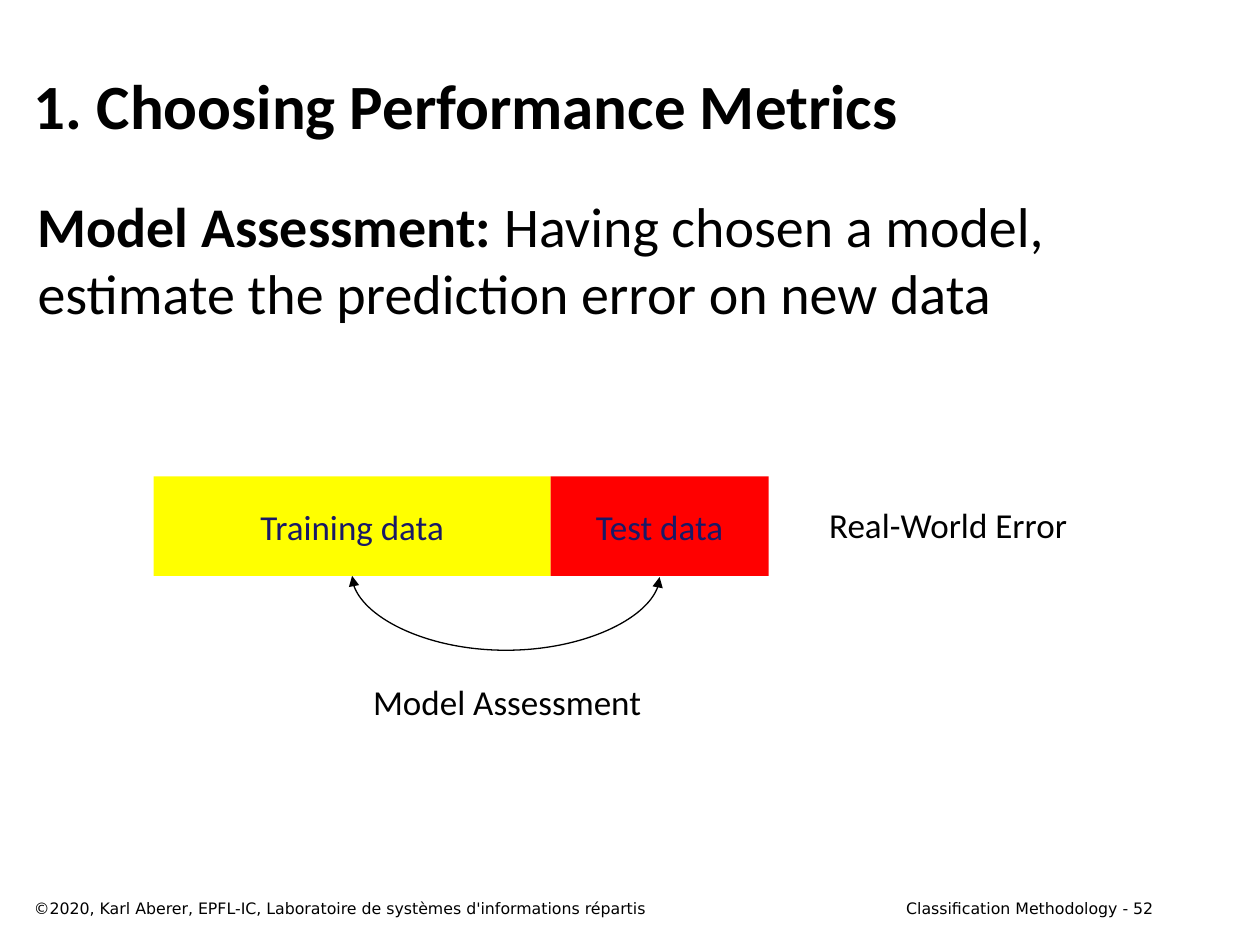
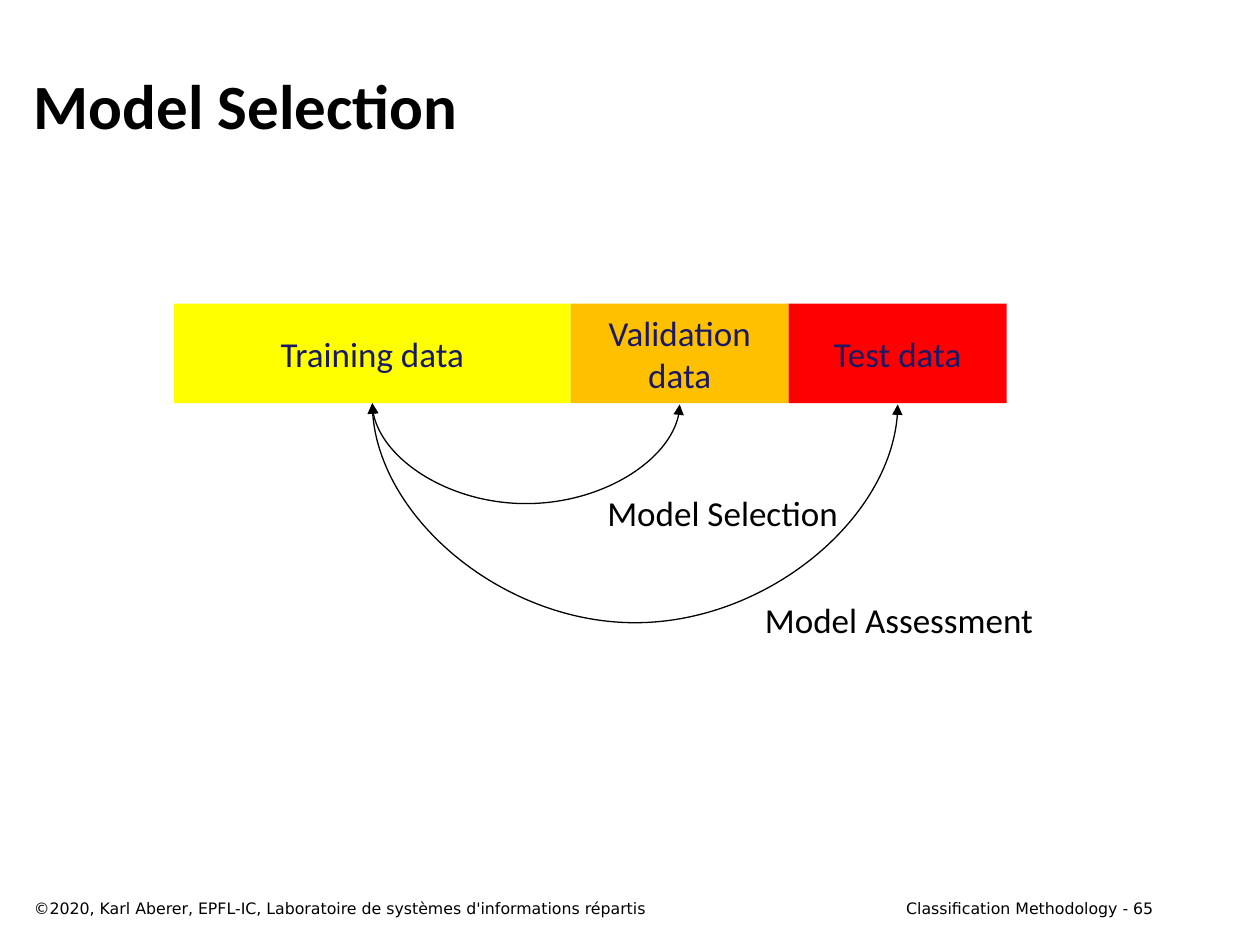
"""Build two slides on model assessment and model selection."""
import pptx
import pptx.dml.color
import pptx.enum.shapes
import pptx.enum.text
import pptx.oxml
import pptx.oxml.ns
import pptx.util

Inches = pptx.util.Inches
ALIGN = pptx.enum.text.PP_ALIGN
ANCHOR = pptx.enum.text.MSO_ANCHOR
BLACK, NAVY = "000000", "191966"
YELLOW, ORANGE, RED = "FFFF00", "FFC000", "FF0000"
MAIN, SMALL = "Calibri", "DejaVu Sans"
WIDE, NARROW, HIGH = 3.15, 1.73, 0.79
TRAIN = ("Training data", WIDE, YELLOW)
VALID = ("Validation\ndata", NARROW, ORANGE)
TEST = ("Test data", NARROW, RED)
OWNER = "©2020, Karl Aberer, EPFL-IC, Laboratoire de systèmes d'informations répartis"


def paint(target, color):
    """Give a font, fill or line format one solid colour."""
    fill = target if hasattr(target, "solid") else target.fill
    fill.solid()
    fill.fore_color.rgb = pptx.dml.color.RGBColor.from_string(color)


def style(frame, size, color=BLACK, font=MAIN, bold=False, align=ALIGN.LEFT):
    """Format every paragraph of a text frame alike."""
    for para in frame.paragraphs:
        para.alignment = align
        para.font.size = pptx.util.Pt(size)
        para.font.name = font
        para.font.bold = bold
        paint(para.font, color)


def write(slide, words, box, size, wrap=True, anchor=ANCHOR.TOP, **looks):
    """Add a text box and return its frame."""
    frame = slide.shapes.add_textbox(*map(Inches, box)).text_frame
    frame.word_wrap = wrap
    frame.vertical_anchor = anchor
    frame.text = words
    style(frame, size, **looks)
    return frame


def label(slide, words, left, top, width):
    """Add a centred one-line label."""
    write(slide, words, (left, top, width, 0.44), 20, wrap=False, align=ALIGN.CENTER)


def block(slide, words, left, top, width, color):
    """Add a filled block that stands for a share of the data."""
    shape = slide.shapes.add_shape(
        pptx.enum.shapes.MSO_SHAPE.RECTANGLE, *map(Inches, (left, top, width, HIGH)))
    shape.shadow.inherit = False
    shape.line.fill.background()
    paint(shape.fill, color)
    frame = shape.text_frame
    frame.word_wrap = True
    frame.vertical_anchor = ANCHOR.MIDDLE
    frame.text = words
    style(frame, 20, NAVY, align=ALIGN.CENTER)


def split(slide, left, top, parts):
    """Lay blocks side by side and return their centres."""
    mids = []
    for words, width, color in parts:
        block(slide, words, left, top, width, color)
        mids.append(left + width / 2)
        left += width
    return mids


def arc(slide, start, end, top, drop):
    """Hang a two-headed curve between two points at one height."""
    thin, span = 0.01, end - start
    curve = slide.shapes.add_connector(
        pptx.enum.shapes.MSO_CONNECTOR.CURVE, 0, 0, Inches(thin), Inches(span))
    curve.left = Inches((start + end - thin) / 2)
    curve.top = Inches(top + (thin - span) / 2)
    props = curve._element.spPr
    props.xfrm.set("rot", str(270 * 60000))
    props.xfrm.set("flipH", "1")
    guides = props.prstGeom.get_or_add_avLst()
    guide = pptx.oxml.parse_xml(
        f'<a:gd {pptx.oxml.ns.nsdecls("a")} name="adj1" '
        f'fmla="val {round(drop / thin * 100000)}"/>')
    guides.append(guide)
    curve.line.width = pptx.util.Pt(0.75)
    paint(curve.line, BLACK)
    line = props.find(pptx.oxml.ns.qn("a:ln"))
    for tip in ("headEnd", "tailEnd"):
        line.append(pptx.oxml.parse_xml(
            f'<a:{tip} {pptx.oxml.ns.nsdecls("a")} type="triangle"/>'))
    props.append(pptx.oxml.parse_xml(f'<a:effectLst {pptx.oxml.ns.nsdecls("a")}/>'))


def page(deck, title, number):
    """Add a slide with its title and both footers."""
    slide = deck.slides.add_slide(deck.slide_layouts[6])
    write(slide, f"Classification Methodology - {number}", (6.97, 7.08, 2.28, 0.25), 9,
          font=SMALL, align=ALIGN.RIGHT)
    write(slide, title, (0.17, 0.33, 9.08, 1), 36, anchor=ANCHOR.MIDDLE, bold=True)
    write(slide, OWNER, (0.17, 7.08, 6.42, 0.25), 9, font=SMALL)
    return slide


def metrics(deck):
    """Build the slide on performance metrics."""
    slide = page(deck, "1. Choosing Performance Metrics", 52)
    frame = write(slide, "Model Assessment: ", (0.2, 1.47, 9.08, 5.5), 32)
    para = frame.paragraphs[0]
    para.runs[0].font.bold = True
    para.add_run().text = "Having chosen a model, estimate the prediction error on new data"
    top = 3.78
    train, test = split(slide, 1.22, top, (TRAIN, TEST))
    label(slide, "Real-World Error", 6.47, 3.95, 2.11)
    arc(slide, train, test, top + HIGH, 0.6)
    label(slide, "Model Assessment", 2.85, 5.35, 2.35)


def choice(deck):
    """Build the slide on model selection."""
    slide = page(deck, "Model Selection", 65)
    top = 2.41
    train, valid, test = split(slide, 1.38, top, (TRAIN, VALID, TEST))
    arc(slide, train, test, top + HIGH, 1.77)
    label(slide, "Model Assessment", 5.96, 4.7, 2.35)
    arc(slide, train, valid, top + HIGH, 0.81)
    label(slide, "Model Selection", 4.71, 3.85, 2.05)


def main():
    """Build and save the deck."""
    deck = pptx.Presentation()
    deck.slide_width, deck.slide_height = Inches(10), Inches(7.5)
    metrics(deck)
    choice(deck)
    deck.save("out.pptx")


if __name__ == "__main__":
    main()
